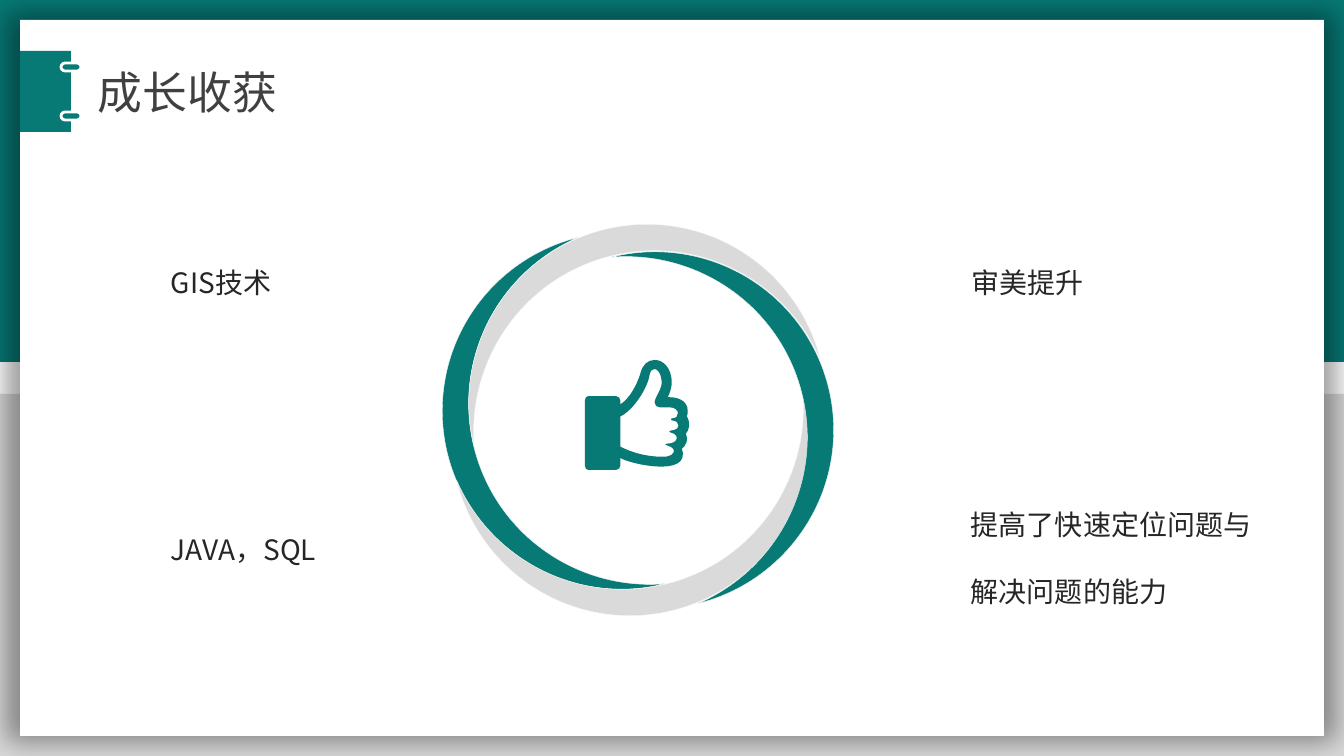
"""Build the growth-and-gains slide: a ring of four crescents around a thumbs-up, with four notes."""
from lxml.etree import SubElement
from pptx import Presentation
from pptx.dml.color import RGBColor
from pptx.enum.shapes import MSO_SHAPE as Shape
from pptx.enum.text import MSO_AUTO_SIZE as AutoSize
from pptx.oxml.ns import qn
from pptx.util import Emu, Pt

PX = 914400 / 100.8
FONT = "Noto Sans CJK SC"
COLORS = {
    "teal": "077A76",
    "gray": "DADADA",
    "white": "FFFFFF",
    "outline": "F8F8F8",
    "title": "404040",
    "body": "262626",
}


def px(*lengths):
    return [Emu(round(length * PX)) for length in lengths]


def paint(shape, fill, line=None, width=0):
    shape.shadow.inherit = False
    shape.fill.solid()
    shape.fill.fore_color.rgb = RGBColor.from_string(COLORS[fill])
    if line:
        shape.line.color.rgb = RGBColor.from_string(COLORS[line])
        shape.line.width = Pt(width)
    else:
        shape.line.fill.background()


deck = Presentation()
deck.slide_width, deck.slide_height = px(1344, 756)
slide = deck.slides.add_slide(deck.slide_layouts[6])
shapes = slide.shapes

panels = [
    ("teal", 0, 0, 1344, 362),
    ("gray", 0, 394, 1344, 362),
    ("white", 20, 20, 1304, 716),
    ("teal", 20, 51, 51, 81),
]
for color, *frame in panels:
    panel = shapes.add_shape(Shape.RECTANGLE, *px(*frame))
    paint(panel, color)
    if color == "white":
        effects = panel._element.spPr.find(qn("a:effectLst"))
        shadow = SubElement(effects, qn("a:outerShdw"), blurRad="260000", dist="0",
                            sx="102000", sy="102000", algn="ctr", rotWithShape="0")
        black = SubElement(shadow, qn("a:srgbClr"), val="000000")
        SubElement(black, qn("a:alpha"), val="40000")

for top in (57, 106):
    ring = shapes.add_shape(Shape.ROUNDED_RECTANGLE, *px(67, top, 8, 20))
    ring.adjustments[0] = 0.5
    ring.rotation = 90
    paint(ring, "teal", "white", 2)

crescents = [
    ("teal", 445, 254, 345.9),
    ("gray", 536, 138, 75.9),
    ("gray", 562, 345, 255.9),
    ("teal", 652, 230, 165.9),
]
for color, left, top, angle in crescents:
    crescent = shapes.add_shape(Shape.MOON, *px(left, top, 179, 357))
    crescent.adjustments[0] = 0.152
    crescent.rotation = angle
    paint(crescent, color, "outline", 0.25)

hand = [
    (96, 88), (106, 118, 40, 102, 35, 97), (35, 105),
    (35, 107, 33, 109, 31, 109), (3, 109), (1, 109, 0, 107, 0, 105),
    (0, 40), (0, 38, 1, 36, 3, 36), (31, 36), (33, 36, 35, 38, 35, 40),
    (35, 44), (48, 36, 55, 14, 55, 13), (57, 5, 62, 0, 69, 0),
    (77, 0, 86, 7, 86, 23), (86, 27, 84, 33, 82, 37), (84, 37),
    (94, 37, 105, 42, 101, 56), (105, 63, 103, 70, 100, 73),
    (103, 79, 100, 85, 96, 88),
]
palm = [
    (85, 70), (95, 70, 95, 60, 86, 60), (85, 59, 85, 58, 86, 58),
    (95, 58, 94, 47, 84, 47), (74, 47), (71, 47, 69, 45, 69, 42),
    (69, 38, 76, 29, 76, 23), (76, 14, 72, 9, 69, 9),
    (66, 9, 65, 11, 64, 15), (62, 28, 48, 50, 35, 56), (35, 86),
    (53, 95, 69, 96, 76, 96), (88, 97, 93, 88, 82, 85),
    (79, 84, 79, 83, 81, 83), (93, 83, 94, 74, 85, 72),
    (83, 72, 83, 70, 85, 70),
]
builder = shapes.build_freeform(*hand[0], scale=PX)
builder.add_line_segments([segment[-2:] for segment in hand[1:]], close=True)
builder.move_to(*palm[0])
builder.add_line_segments([segment[-2:] for segment in palm[1:]], close=True)
thumb = builder.convert_to_shape(*px(585, 360))
thumb.width, thumb.height = px(108, 120)
outline = thumb._element.find(".//" + qn("a:path"))
outline.set("w", "107")
outline.set("h", "119")
for line, segment in zip(outline.findall(qn("a:lnTo")), hand[1:] + palm[1:]):
    if len(segment) == 6:
        curve = line.makeelement(qn("a:cubicBezTo"))
        for x, y in zip(segment[::2], segment[1::2]):
            SubElement(curve, qn("a:pt"), x=str(x), y=str(y))
        outline.replace(line, curve)
paint(thumb, "teal")

texts = [
    ("GIS技术", 161, 227, 304, 68, 20, "body", 2),
    ("审美提升", 962, 227, 304, 68, 20, "body", 2),
    ("JAVA，SQL", 161, 494, 304, 68, 20, "body", 2),
    ("成长收获", 88, 60, 452, 65, 32, "title", 1),
    ("提高了快速定位问题与解决问题的能力", 961, 469, 304, 146, 20, "body", 2),
]
for text, left, top, width, height, size, color, spacing in texts:
    box = shapes.add_textbox(*px(left, top, width, height))
    box.text_frame.word_wrap = True
    box.text_frame.auto_size = AutoSize.SHAPE_TO_FIT_TEXT
    box.text_frame.text = text
    para = box.text_frame.paragraphs[0]
    para.line_spacing = float(spacing)
    font = para.runs[0].font
    font.name = FONT
    font.size = Pt(size)
    font.color.rgb = RGBColor.from_string(COLORS[color])
    SubElement(font._element, qn("a:ea"), typeface=FONT)

deck.save("out.pptx")
